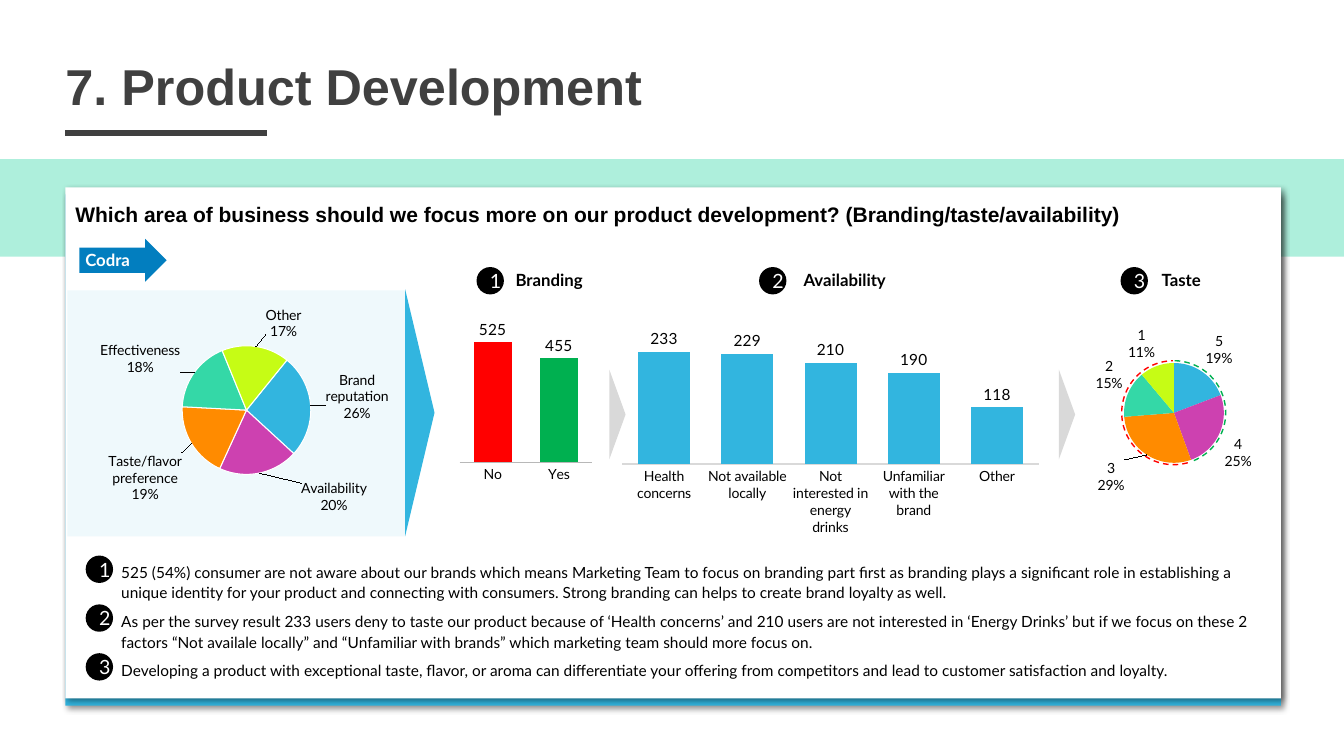
"""Build the product development slide with survey charts and findings."""
from copy import deepcopy
from dataclasses import dataclass

from pptx import Presentation
from pptx.chart.data import CategoryChartData
from pptx.dml.color import RGBColor
from pptx.enum.chart import XL_CHART_TYPE, XL_LABEL_POSITION, XL_TICK_LABEL_POSITION, XL_TICK_MARK
from pptx.enum.dml import MSO_LINE
from pptx.enum.shapes import MSO_CONNECTOR, MSO_SHAPE
from pptx.enum.text import MSO_ANCHOR, MSO_AUTO_SIZE, PP_ALIGN
from pptx.oxml import parse_xml
from pptx.oxml.ns import nsdecls, qn
from pptx.util import Cm, Pt

COLUMN, PIE = XL_CHART_TYPE.COLUMN_CLUSTERED, XL_CHART_TYPE.PIE
RECT, OVAL, ARC = MSO_SHAPE.RECTANGLE, MSO_SHAPE.OVAL, MSO_SHAPE.ARC
TRIANGLE, ARROW = MSO_SHAPE.ISOSCELES_TRIANGLE, MSO_SHAPE.RIGHT_ARROW
STRAIGHT, DASH = MSO_CONNECTOR.STRAIGHT, MSO_LINE.DASH
LEFT, CENTER = PP_ALIGN.LEFT, PP_ALIGN.CENTER
TOP, MIDDLE, NO_FIT = MSO_ANCHOR.TOP, MSO_ANCHOR.MIDDLE, MSO_AUTO_SIZE.NONE
OUTSIDE_END = XL_LABEL_POSITION.OUTSIDE_END
NO_TICK, NO_TICK_LABELS = XL_TICK_MARK.NONE, XL_TICK_LABEL_POSITION.NONE


@dataclass(frozen=True)
class Theme:
    """Colours, fonts and type sizes of the slide."""
    dark: str = "404040"
    black: str = "000000"
    white: str = "FFFFFF"
    mint: str = "AEEFDC"
    blue: str = "32B5DF"
    deep_blue: str = "027EBF"
    pale_blue: str = "EFF9FC"
    grey: str = "D9D9D9"
    axis: str = "B8B8B8"
    red: str = "FF0000"
    green: str = "00B050"
    slices: tuple = ("32B5DF", "CD41B0", "FF8B00", "34D8A7", "C6FC15")
    head_font: str = "Arial"
    font: str = "Lato"
    title: int = 36
    question: int = 15
    badge: int = 14
    heading: int = 12
    body: int = 11
    label: int = 10


THEME = Theme()
FINDINGS = (
    "525 (54%) consumer are not aware about our brands which means Marketing Team to focus on branding part first as branding plays a significant role in establishing a unique identity for your product and connecting with consumers. Strong branding can helps to create brand loyalty as well.",
    "As per the survey result 233 users deny to taste our product because of ‘Health concerns’ and 210 users are not interested in ‘Energy Drinks’ but if we focus on these 2 factors “Not availale locally” and “Unfamiliar with brands” which marketing team should more focus on.",
    "Developing a product with exceptional taste, flavor, or aroma can differentiate your offering from competitors and lead to customer satisfaction and loyalty.",
)
HEADINGS = (("Branding", 11.07, 12.01), ("Availability", 18.52, 19.13), ("Taste", 27, 28.24))
PRIORITIES = {"Brand\nreputation": 26, "Availability": 20, "Taste/flavor preference": 19,
              "Effectiveness": 18, "Other": 17}
AWARENESS = {"No": 525, "Yes": 455}
OBSTACLES = {"Health concerns": 233, "Not available locally": 229,
             "Not interested in energy drinks": 210, "Unfamiliar with the brand": 190, "Other": 118}
TASTE_RATINGS = {"5": 19, "4": 25, "3": 29, "2": 15, "1": 11}


def rgb(color):
    """Turn a hex string into a colour."""
    return RGBColor.from_string(color)


def cms(*lengths):
    """Turn centimetre numbers into lengths."""
    return [Cm(length) for length in lengths]


def style(font, size, color=THEME.black, bold=False, name=THEME.font):
    """Format a font."""
    font.name, font.size, font.bold = name, Pt(size), bold
    font.color.rgb = rgb(color)


def write(paragraph, text, *font, align=LEFT, **options):
    """Add one formatted run to an aligned paragraph."""
    paragraph.alignment = align
    run = paragraph.add_run()
    run.text = text
    style(run.font, *font, **options)


def place(placeholder, box):
    """Move a placeholder and return its top-anchored text frame."""
    placeholder.left, placeholder.top, placeholder.width, placeholder.height = cms(*box)
    frame = placeholder.text_frame
    frame.auto_size, frame.vertical_anchor = NO_FIT, TOP
    return frame


def add_block(slide, kind, box, color, rotation=0):
    """Add a filled preset shape without outline or shadow."""
    block = slide.shapes.add_shape(kind, *cms(*box))
    block.shadow.inherit = False
    block.fill.solid()
    block.fill.fore_color.rgb = rgb(color)
    block.line.fill.background()
    block.rotation = rotation
    return block


def add_card(slide, box, color):
    """Add a rectangle that casts a soft shadow."""
    effects = add_block(slide, RECT, box, color).element.spPr.find(qn("a:effectLst"))
    effects.append(parse_xml(
        f'<a:outerShdw {nsdecls("a")} blurRad="50800" dist="38100" dir="2700000" algn="tl">'
        f'<a:srgbClr val="{THEME.black}"><a:alpha val="40000"/></a:srgbClr></a:outerShdw>'))


def add_label(slide, box, text, size, **options):
    """Add a bold one-line text box."""
    frame = slide.shapes.add_textbox(*cms(*box)).text_frame
    frame.word_wrap = True
    write(frame.paragraphs[0], text, size, bold=True, **options)


def add_badge(slide, number, left, top):
    """Add a numbered black disc."""
    frame = add_block(slide, OVAL, (left, top, 0.69, 0.69), THEME.black).text_frame
    frame.word_wrap, frame.vertical_anchor = True, MIDDLE
    write(frame.paragraphs[0], str(number), THEME.badge, THEME.white, align=CENTER)


def add_arc(slide, start, end, color):
    """Add a dashed arc around the taste pie."""
    arc = slide.shapes.add_shape(ARC, *cms(28.27, 9.09, 2.62, 2.62))
    arc.shadow.inherit = False
    arc.fill.background()
    arc.line.color.rgb, arc.line.width, arc.line.dash_style = rgb(color), Pt(1), DASH
    arc.adjustments[0], arc.adjustments[1] = start, end


def manual_layout(x, y, *size):
    """Build a layout: an inner plot with a size, or a label offset without."""
    modes = '<c:layoutTarget val="inner"/><c:xMode val="edge"/><c:yMode val="edge"/>' if size else ""
    fields = "".join(f'<c:{key} val="{value}"/>' for key, value in zip("xywh", (x, y, *size)))
    return parse_xml(f'<c:layout {nsdecls("c")}><c:manualLayout>{modes}{fields}</c:manualLayout></c:layout>')


def add_chart(slide, kind, box, plot_box, answers, colors):
    """Add a one-series chart with coloured points and labels outside them."""
    data = CategoryChartData()
    data.categories = list(answers)
    data.add_series("Series 1", list(answers.values()))
    chart = slide.shapes.add_chart(kind, *cms(*box), data).chart
    chart.has_title = chart.has_legend = False
    style(chart.font, THEME.body)
    area = chart.plots[0]._element.getparent()
    for layout in area.findall(qn("c:layout")):
        area.remove(layout)
    area.insert(0, manual_layout(*plot_box))
    series = chart.plots[0].series[0]
    for index, color in enumerate(colors):
        fill = series.points[index].format.fill
        fill.solid()
        fill.fore_color.rgb = rgb(color)
    series.data_labels.position = OUTSIDE_END
    return chart, series


def add_columns(slide, box, plot_box, answers, colors, gap, maximum, axis_color):
    """Add a column chart with values above the columns."""
    chart, series = add_chart(slide, COLUMN, box, plot_box, answers, colors)
    chart.plots[0].gap_width, chart.plots[0].vary_by_categories = gap, False
    series.data_labels.show_value = True
    style(series.data_labels.font, THEME.body)
    values, categories = chart.value_axis, chart.category_axis
    values.has_major_gridlines = False
    values.minimum_scale, values.maximum_scale = 0, maximum
    values.tick_label_position, values.major_tick_mark = NO_TICK_LABELS, NO_TICK
    values.format.line.fill.background()
    categories.major_tick_mark = NO_TICK
    categories.format.line.color.rgb, categories.format.line.width = rgb(axis_color), Pt(1)
    style(categories.tick_labels.font, THEME.label)


def add_pie(slide, box, plot_box, answers, offsets, start=0, outlined=False):
    """Add a pie labelled with names and shares, some labels moved by an offset."""
    chart, series = add_chart(slide, PIE, box, plot_box, answers, THEME.slices)
    chart.plots[0].vary_by_categories = True
    pie = chart.plots[0]._element
    for angle in pie.findall(qn("c:firstSliceAng")):
        pie.remove(angle)
    pie.append(parse_xml(f'<c:firstSliceAng {nsdecls("c")} val="{start}"/>'))
    for index in range(len(answers) if outlined else 0):
        line = series.points[index].format.line
        line.color.rgb, line.width = rgb(THEME.white), Pt(0.75)
    labels = series.data_labels
    labels.show_value, labels.show_category_name, labels.show_percentage = False, True, True
    labels.number_format, labels.number_format_is_linked = "0%", False
    style(labels.font, THEME.label)
    shared = labels._element
    shared.find(qn("c:showBubbleSize")).addnext(
        parse_xml(f'<c:separator {nsdecls("c")}>\n</c:separator>'))
    settings = [child for child in shared if child.tag != qn("c:showLeaderLines")]
    for position, (index, offset) in enumerate(offsets.items()):
        moved = parse_xml(f'<c:dLbl {nsdecls("c")}><c:idx val="{index}"/></c:dLbl>')
        moved.append(manual_layout(*offset))
        moved.extend(deepcopy(settings))
        shared.insert(position, moved)


def add_findings(slide, body):
    """Fill the list placeholder above the card and number its items."""
    body.element.getparent().append(body.element)
    frame = place(body, (2.16, 14.02, 29.85, 3.3))
    for index, finding in enumerate(FINDINGS):
        paragraph = frame.add_paragraph() if index else frame.paragraphs[0]
        properties = paragraph._p.get_or_add_pPr()
        properties.set("marL", str(Cm(0.64)))
        properties.set("indent", "0")
        properties.append(parse_xml(f'<a:buNone {nsdecls("a")}/>'))
        paragraph.line_spacing, paragraph.space_before = 1.1, Pt(6 if index else 0)
        write(paragraph, finding, THEME.body)
        add_badge(slide, index + 1, 2.16, 14 + 1.23 * index)


def main():
    """Assemble and save the slide."""
    deck = Presentation()
    deck.slide_width, deck.slide_height = cms(33.87, 19.05)
    slide = deck.slides.add_slide(deck.slide_layouts[1])
    title = place(slide.shapes.title, (1.65, 1.27, 15.42, 1.8))
    title.margin_left, title.word_wrap = Cm(0), False
    write(title.paragraphs[0], "7. Product Development", THEME.title, THEME.dark, bold=True, name=THEME.head_font)
    add_block(slide, RECT, (0, 4.01, 33.87, 2.46), THEME.mint)
    rule = slide.shapes.add_connector(STRAIGHT, *cms(1.65, 3.35, 6.73, 3.35))
    rule.line.color.rgb, rule.line.width = rgb(THEME.dark), Pt(4.5)
    rule.element.spPr.append(parse_xml(f'<a:effectLst {nsdecls("a")}/>'))
    for top, color in ((4.9, THEME.blue), (4.72, THEME.white)):
        add_card(slide, (1.65, top, 30.63, 12.88), color)
    add_label(slide, (1.65, 4.95, 30.28, 0.89),
              "Which area of business should we focus more on our product development? (Branding/taste/availability)",
              THEME.question, name=THEME.head_font)
    arrow = add_block(slide, ARROW, (2, 6.02, 2.2, 1.08), THEME.deep_blue)
    arrow.adjustments[0] = 0.59
    add_label(slide, (1.9, 6.17, 1.85, 0.76), "Codra", THEME.heading, color=THEME.white)
    for number, (heading, left, badge_left) in enumerate(HEADINGS, 1):
        add_label(slide, (left, 6.68, 5.54, 0.76), heading, THEME.heading, align=CENTER)
        add_badge(slide, number, badge_left, 6.73)
    add_block(slide, RECT, (1.7, 7.32, 8.53, 6.2), THEME.pale_blue)
    add_block(slide, TRIANGLE, (7.47, 10.03, 6.22, 0.74), THEME.blue, 90)
    for left in (14.43, 25.76):
        add_block(slide, TRIANGLE, (left, 10.24, 2.26, 0.41), THEME.grey, 90)
    add_pie(slide, (0, 7.72, 11.4, 5.23), (0.4, 0.19, 0.29, 0.62), PRIORITIES,
            {0: (0.02, -0.04), 1: (0.09, 0.02), 2: (-0.01, 0.03), 3: (-0.02, 0.03), 4: (0.02, -0.03)},
            start=39, outlined=True)
    add_columns(slide, (11.43, 7.8, 5.13, 5), (0.03, 0.08, 0.65, 0.69), AWARENESS,
                (THEME.red, THEME.green), 75, 600, THEME.axis)
    add_columns(slide, (14.33, 8.15, 12.34, 5.72), (0.11, 0.09, 0.85, 0.53), OBSTACLES,
                [THEME.blue] * len(OBSTACLES), 60, 250, THEME.grey)
    add_pie(slide, (26.19, 7.49, 6.93, 5.72), (0.28, 0.29, 0.42, 0.44), TASTE_RATINGS, {2: (-0.07, 0)})
    add_arc(slide, 44.57, 161.41, THEME.red)
    add_arc(slide, 162.63, 41.51, THEME.green)
    add_findings(slide, slide.placeholders[1])
    deck.save("out.pptx")


if __name__ == "__main__":
    main()
